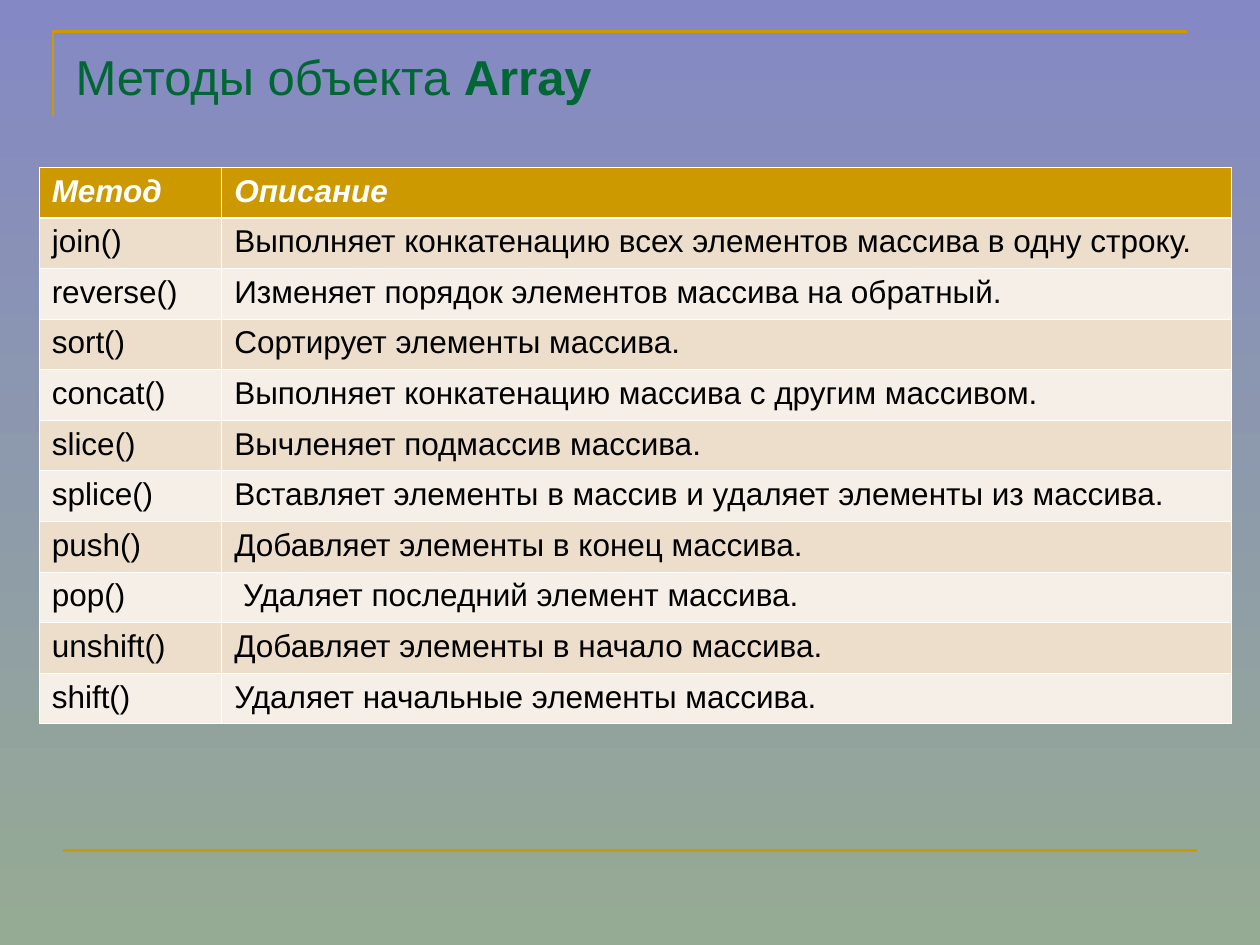
from lxml.etree import SubElement
from pptx import Presentation
from pptx.dml.color import RGBColor
from pptx.enum.shapes import MSO_CONNECTOR
from pptx.enum.text import MSO_ANCHOR, MSO_AUTO_SIZE, PP_ALIGN
from pptx.oxml.ns import qn
from pptx.util import Cm, Pt

GOLD = RGBColor(0xCC, 0x99, 0x00)
GREEN = RGBColor(0x00, 0x66, 0x33)
WHITE = RGBColor(0xFF, 0xFF, 0xFF)
BLACK = RGBColor(0x00, 0x00, 0x00)
DARK_BAND = RGBColor(0xEC, 0xDE, 0xCB)
LIGHT_BAND = RGBColor(0xF6, 0xEF, 0xE7)
BACKGROUND_TOP = RGBColor(0x84, 0x88, 0xC4)
BACKGROUND_BOTTOM = RGBColor(0x96, 0xAB, 0x94)
FONT_NAME = "Arial"

METHODS = [
    ("Метод", "Описание"),
    ("join()", "Выполняет конкатенацию всех элементов массива в одну строку."),
    ("reverse()", "Изменяет порядок элементов массива на обратный."),
    ("sort()", "Сортирует элементы массива."),
    ("concat()", "Выполняет конкатенацию массива с другим массивом."),
    ("slice()", "Вычленяет подмассив массива."),
    ("splice()", "Вставляет элементы в массив и удаляет элементы из массива."),
    ("push()", "Добавляет элементы в конец массива."),
    ("рор()", " Удаляет последний элемент массива."),
    ("unshift()", "Добавляет элементы в начало массива."),
    ("shift()", "Удаляет начальные элементы массива."),
]


def format_font(font, size, color, bold=False, italic=False):
    font.name = FONT_NAME
    font.size = Pt(size)
    font.color.rgb = color
    font.bold = bold
    font.italic = italic


def add_border(cell, side, width):
    properties = cell._tc.get_or_add_tcPr()
    line = SubElement(properties, qn(f"a:ln{side}"), w=str(Pt(width)))
    fill = SubElement(line, qn("a:solidFill"))
    SubElement(fill, qn("a:srgbClr"), val=str(WHITE))


presentation = Presentation()
presentation.slide_width = Cm(25.4)
presentation.slide_height = Cm(19.05)
slide = presentation.slides.add_slide(presentation.slide_layouts[5])

background = slide.background.fill
background.gradient()
background.gradient_angle = 270
for stop, color in zip(background.gradient_stops, (BACKGROUND_TOP, BACKGROUND_BOTTOM)):
    stop.color.rgb = color

builder = slide.shapes.build_freeform(Cm(1.07), Cm(2.34))
builder.add_line_segments([(Cm(1.07), Cm(0.64)), (Cm(23.93), Cm(0.64))], close=False)
title_frame = builder.convert_to_shape()
title_frame.shadow.inherit = False
title_frame.fill.background()

footer_line = slide.shapes.add_connector(
    MSO_CONNECTOR.STRAIGHT, Cm(1.27), Cm(17.15), Cm(24.13), Cm(17.15)
)
SubElement(footer_line._element.spPr, qn("a:effectLst"))

for shape in (title_frame, footer_line):
    shape.line.color.rgb = GOLD
    shape.line.width = Pt(1.5)

title = slide.shapes.title
title.left, title.top, title.width, title.height = Cm(1.27), Cm(0.76), Cm(22.86), Cm(1.55)
title.text_frame.auto_size = MSO_AUTO_SIZE.NONE
title.text_frame.vertical_anchor = MSO_ANCHOR.MIDDLE
paragraph = title.text_frame.paragraphs[0]
paragraph.alignment = PP_ALIGN.LEFT
for text, bold in (("Методы объекта ", False), ("Array", True)):
    run = paragraph.add_run()
    run.text = text
    format_font(run.font, 28, GREEN, bold)

row_height = Cm(1.02)
table = slide.shapes.add_table(
    len(METHODS), 2, Cm(0.79), Cm(3.37), Cm(24.03), row_height * len(METHODS)
).table
table.columns[0].width = Cm(3.68)
table.columns[1].width = Cm(20.35)

for row_index, texts in enumerate(METHODS):
    table.rows[row_index].height = row_height
    is_header = row_index == 0
    if is_header:
        fill_color = GOLD
    else:
        fill_color = DARK_BAND if row_index % 2 else LIGHT_BAND
    for column_index, text in enumerate(texts):
        cell = table.cell(row_index, column_index)
        cell.text_frame.text = text
        run = cell.text_frame.paragraphs[0].runs[0]
        format_font(run.font, 18, WHITE if is_header else BLACK, is_header, is_header)
        add_border(cell, "L", 0.45)
        add_border(cell, "R", 0.45)
        add_border(cell, "T", 1.47 if row_index == 1 else 0.45)
        add_border(cell, "B", 1.47 if is_header else 0.45)
        cell.fill.solid()
        cell.fill.fore_color.rgb = fill_color

presentation.save("out.pptx")
